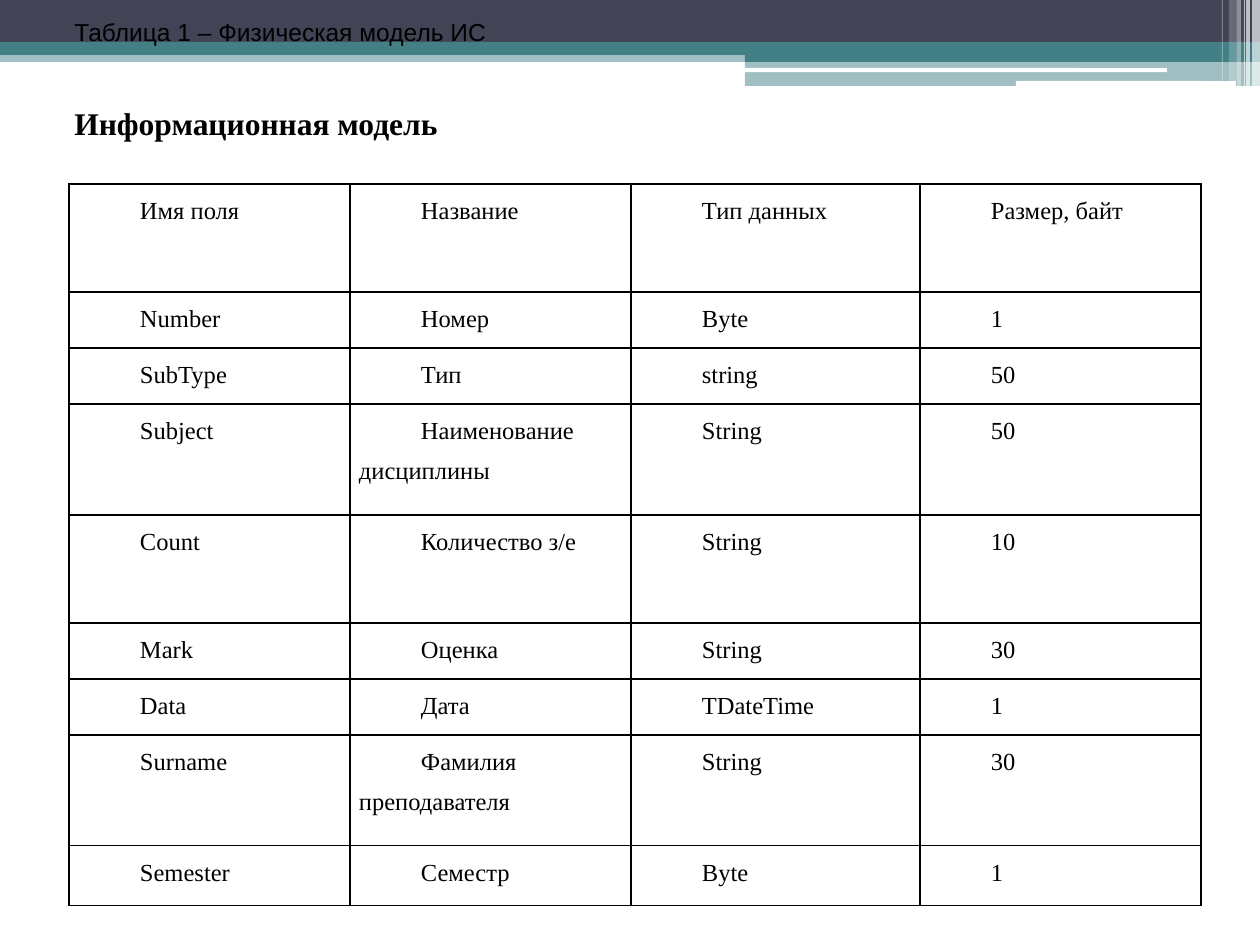
from pptx import Presentation
from pptx.dml.color import RGBColor
from pptx.enum.shapes import MSO_SHAPE as Shape
from pptx.enum.text import MSO_ANCHOR as Anchor, PP_ALIGN as Align
from pptx.oxml.ns import qn
from pptx.util import Emu, Pt
from lxml.etree import SubElement

SCALE = 914400 / 126
BLACK, WHITE, DARK, TEAL = "000000", "FFFFFF", "424456", "438086"
SERIF, SANS = "Times New Roman", "Arial"
FIRST_LINE = 62

# left, top, width, height, colour, opacity in percent
BANDS = [
    (0, 50, 1260, 12, TEAL, 50),
    (0, 0, 1260, 42, DARK, 100),
    (0, 42, 1260, 13, TEAL, 100),
    (745, 49, 515, 13, TEAL, 100),
    (745, 61, 515, 25, TEAL, 50),
]
WHITE_BARS = [(745, 68, 422, 4), (1016, 81, 220, 5)]
# left, width, height, opacity in percent
STRIPES = [
    (1252, 8, 86, 65), (1246, 4, 86, 65), (1244, 1, 86, 60),
    (1237, 4, 86, 40), (1229, 8, 81, 20), (1222, 1, 81, 30),
]

COLUMN_WIDTHS = [281, 281, 289, 281]
ROW_HEIGHTS = [108, 56, 56, 111, 108, 56, 56, 111, 60]
FIELDS = [
    ("Имя поля", "Название", "Тип данных", "Размер, байт"),
    ("Number", "Номер", "Byte", "1"),
    ("SubType", "Тип", "string", "50"),
    ("Subject", "Наименование дисциплины", "String", "50"),
    ("Count", "Количество з/е", "String", "10"),
    ("Mark", "Оценка", "String", "30"),
    ("Data", "Дата", "TDateTime", "1"),
    ("Surname", "Фамилия преподавателя", "String", "30"),
    ("Semester", "Семестр", "Byte", "1"),
]


def px(value):
    """Turn picture pixels into EMU."""
    return Emu(round(value * SCALE))


def color(value):
    """Turn a hex string into a colour."""
    return RGBColor.from_string(value)


def add_bar(slide, left, top, width, height, fill, opacity=100, kind=Shape.RECTANGLE):
    """Add a borderless bar, optionally see-through."""
    shape = slide.shapes.add_shape(kind, px(left), px(top), px(width), px(height))
    shape.shadow.inherit = False
    shape.line.fill.background()
    shape.fill.solid()
    shape.fill.fore_color.rgb = color(fill)
    if opacity < 100:
        rgb = shape.fill._xPr.find(".//" + qn("a:srgbClr"))
        SubElement(rgb, qn("a:alpha"), val=str(opacity * 1000))


def write_text(paragraph, text, size, font, bold=False, align=Align.LEFT):
    """Write one run into a paragraph with an indented first line."""
    paragraph.alignment = align
    properties = paragraph._p.get_or_add_pPr()
    properties.set("marL", "0")
    properties.set("indent", str(px(FIRST_LINE)))
    run = paragraph.add_run()
    run.text = text
    run.font.size = Pt(size)
    run.font.name = font
    run.font.bold = bold
    run.font.color.rgb = color(BLACK)


def add_label(slide, top, height, text, size, font, anchor, **style):
    """Add a text box across the whole slide width."""
    box = slide.shapes.add_textbox(0, px(top), px(1260), px(height))
    frame = box.text_frame
    frame.word_wrap = True
    frame.vertical_anchor = anchor
    write_text(frame.paragraphs[0], text, size, font, **style)


def add_borders(cell):
    """Draw a thin black line on each side of a cell."""
    properties = cell._tc.get_or_add_tcPr()
    for index, side in enumerate(("lnL", "lnR", "lnT", "lnB")):
        line = properties.makeelement(qn("a:" + side), {"w": str(Pt(1))})
        properties.insert(index, line)
        fill = SubElement(line, qn("a:solidFill"))
        SubElement(fill, qn("a:srgbClr"), val=BLACK)


def fill_cell(cell, text):
    """Format one table cell and write its text."""
    cell.fill.background()
    cell.margin_left = cell.margin_right = px(9)
    cell.margin_top = cell.margin_bottom = 0
    paragraph = cell.text_frame.paragraphs[0]
    write_text(paragraph, text, 14, SERIF, align=Align.JUSTIFY)
    paragraph.line_spacing = 1.5
    add_borders(cell)


def add_field_table(slide):
    """Add the table of database fields."""
    frame = slide.shapes.add_table(
        len(FIELDS), len(COLUMN_WIDTHS), px(69), px(184),
        px(sum(COLUMN_WIDTHS)), px(sum(ROW_HEIGHTS)))
    table = frame.table
    table.first_row = table.horz_banding = False
    for column, width in zip(table.columns, COLUMN_WIDTHS):
        column.width = px(width)
    for row, height, texts in zip(table.rows, ROW_HEIGHTS, FIELDS):
        row.height = px(height)
        for cell, text in zip(row.cells, texts):
            fill_cell(cell, text)


def main():
    """Build the slide and save it."""
    presentation = Presentation()
    presentation.slide_width, presentation.slide_height = px(1260), px(945)
    slide = presentation.slides.add_slide(presentation.slide_layouts[6])
    for band in BANDS:
        add_bar(slide, *band)
    for bar in WHITE_BARS:
        add_bar(slide, *bar, WHITE, kind=Shape.ROUNDED_RECTANGLE)
    for left, width, height, opacity in STRIPES:
        add_bar(slide, left, 0, width, height, WHITE, opacity)
    add_label(slide, 98, 87, "Информационная модель", 18, SERIF, Anchor.TOP, bold=True)
    add_field_table(slide)
    add_label(slide, 0, 63, "Таблица 1 – Физическая модель ИС", 14, SANS,
              Anchor.MIDDLE, align=Align.JUSTIFY)
    presentation.save("out.pptx")


main()
